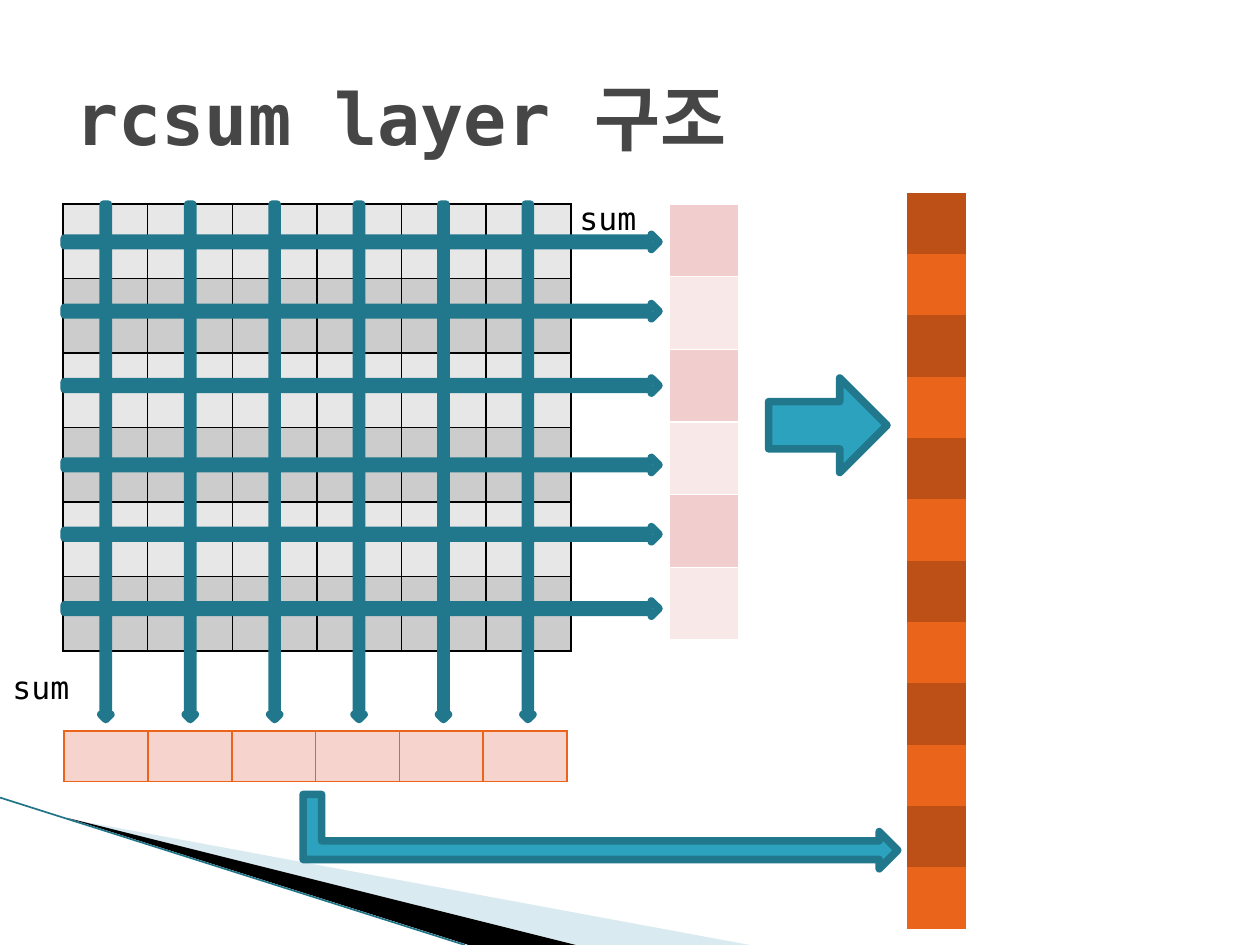
from lxml import etree
from pptx import Presentation
from pptx import util as u
from pptx.dml.color import RGBColor
from pptx.enum import shapes, text
from pptx.oxml.ns import qn

FONT = "DejaVu Sans Mono"
COLORS = {
    "title": "464646", "black": "000000", "white": "FFFFFF",
    "arrow": "2DA2BF", "arrow_edge": "21788D",
    "wedge": "A0CBDC", "rule": "1F7488",
    "gray_light": "E7E7E7", "gray_dark": "CCCCCC",
    "pink": "F1CDCD", "pink_light": "F8E8E8", "salmon": "F7D3CD",
    "orange": "EB641B", "orange_dark": "BC5016",
}
ARROW = shapes.MSO_SHAPE


def rgb(name):
    """Return the named colour."""
    return RGBColor.from_string(COLORS[name])


def inches(*values):
    """Convert several numbers to lengths."""
    return [u.Inches(v) for v in values]


def add_wedge(s, points, color, alpha=None):
    """Add a filled outline without a line, optionally see-through."""
    builder = s.shapes.build_freeform(*inches(*points[0]))
    builder.add_line_segments([inches(*pt) for pt in points[1:]])
    sp = builder.convert_to_shape()
    sp.shadow.inherit = False
    sp.fill.solid()
    sp.fill.fore_color.rgb = rgb(color)
    sp.line.fill.background()
    if alpha is not None:
        clr = sp._element.spPr.find(".//" + qn("a:srgbClr"))
        etree.SubElement(clr, qn("a:alpha")).set("val", str(alpha * 1000))


def add_rule(s, start, end):
    """Add a thin straight line."""
    ln = s.shapes.add_connector(shapes.MSO_CONNECTOR.STRAIGHT,
                                *inches(*start, *end))
    ln.line.color.rgb = rgb("rule")
    ln.line.width = u.Pt(0.95)
    etree.SubElement(ln._element.spPr, qn("a:effectLst"))


def set_borders(cell, color):
    """Draw all four cell borders in a colour, or none of them."""
    tc_pr = cell._tc.get_or_add_tcPr()
    for i, side in enumerate(("lnL", "lnR", "lnT", "lnB")):
        ln = etree.Element(qn("a:" + side), w=str(u.Pt(1)))
        if color:
            fill = etree.SubElement(ln, qn("a:solidFill"))
            etree.SubElement(fill, qn("a:srgbClr")).set("val", COLORS[color])
        else:
            etree.SubElement(ln, qn("a:noFill"))
        tc_pr.insert(i, ln)


def add_grid(s, box, rows, cols, fills, border=None):
    """Add an empty table of equal cells; row fills take turns."""
    left, top, width, height = inches(*box)
    table = s.shapes.add_table(rows, cols, left, top, width, height).table
    table.first_row = table.horz_banding = False
    for col in table.columns:
        col.width = width // cols
    for r, row in enumerate(table.rows):
        row.height = height // rows
        for cell in row.cells:
            cell.fill.solid()
            cell.fill.fore_color.rgb = rgb(fills[r % len(fills)])
            set_borders(cell, border)


def add_arrow(s, kind, box, rotation=0):
    """Add a block arrow with a heavy edge."""
    sp = s.shapes.add_shape(kind, *inches(*box))
    sp.shadow.inherit = False
    sp.rotation = rotation
    sp.fill.solid()
    sp.fill.fore_color.rgb = rgb("arrow")
    sp.line.color.rgb = rgb("arrow_edge")
    sp.line.width = u.Pt(4.33)


def add_text(s, box, words, size, color, bold=False, wrap=False):
    """Add one line of text."""
    tf = s.shapes.add_textbox(*inches(*box)).text_frame
    tf.word_wrap = wrap
    tf.vertical_anchor = text.MSO_ANCHOR.MIDDLE
    p = tf.paragraphs[0]
    p.text = words
    p.font.name = FONT
    p.font.size = u.Pt(size)
    p.font.bold = bold
    p.font.color.rgb = rgb(color)


def main():
    """Build the slide."""
    prs = Presentation()
    prs.slide_width, prs.slide_height = inches(10, 7.5)
    s = prs.slides.add_slide(prs.slide_layouts[6])

    add_wedge(s, [(0.55, 6.5), (5.95, 7.5), (4.56, 7.5)], "wedge", 40)
    add_wedge(s, [(0.53, 6.49), (4.57, 7.5), (3.72, 7.5)], "black")
    add_rule(s, (0, 6.33), (3.69, 7.5))

    add_grid(s, (0.5, 1.62, 4.03, 3.55), 6, 6,
             ("gray_light", "gray_dark"), "black")
    add_text(s, (0.5, 0.3, 9, 1.25), "rcsum layer 구조", 41, "title",
             bold=True, wrap=True)
    for top in (1.86, 2.41, 3, 3.63, 4.18, 4.77):
        add_arrow(s, ARROW.RIGHT_ARROW, (0.51, top, 4.72, 0.12))
    for i in range(6):
        add_arrow(s, ARROW.DOWN_ARROW, (0.8 + 0.67 * i, 1.62, 0.08, 4.09))
    for left, top in ((4.5, 1.53), (0, 5.25)):
        add_text(s, (left, top, 0.72, 0.4), "sum", 18, "black")

    add_grid(s, (0.51, 5.8, 3.99, 0.4), 1, 6, ("salmon",), "orange")
    add_grid(s, (5.31, 1.62, 0.55, 3.46), 6, 1,
             ("pink", "pink_light"), "white")
    add_grid(s, (7.2, 1.53, 0.47, 5.84), 12, 1, ("orange_dark", "orange"))
    add_arrow(s, ARROW.RIGHT_ARROW, (6.1, 3, 0.94, 0.75))
    add_arrow(s, ARROW.BENT_UP_ARROW, (4.47, 4.24, 0.59, 4.72), 90)

    prs.save("out.pptx")


main()
